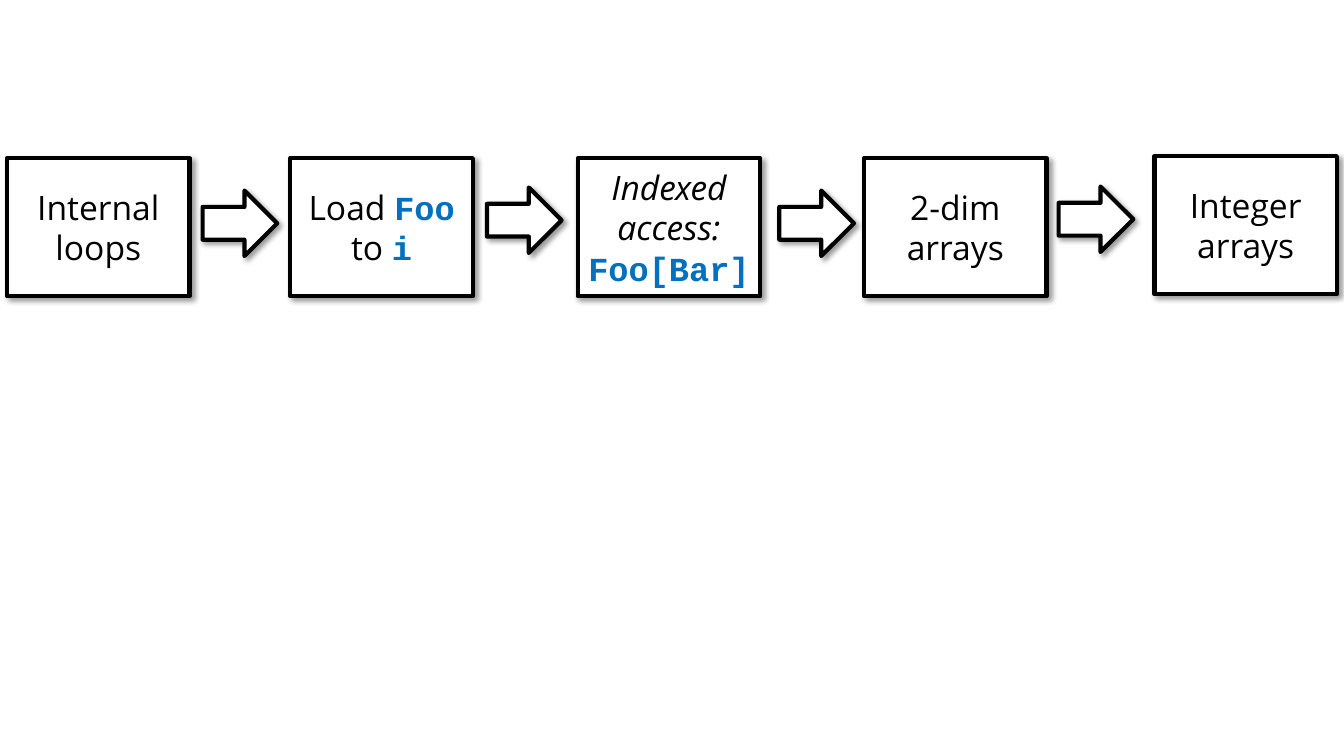
from lxml.etree import SubElement
from pptx import Presentation
from pptx.dml.color import RGBColor
from pptx.enum.shapes import MSO_SHAPE
from pptx.enum.text import MSO_ANCHOR, PP_ALIGN
from pptx.oxml.ns import qn
from pptx.util import Inches, Pt

BLACK = RGBColor(0x00, 0x00, 0x00)
WHITE = RGBColor(0xFF, 0xFF, 0xFF)
BLUE = RGBColor(0x00, 0x70, 0xC0)

PLAIN = {"name": "Open Sans", "size": Pt(24), "bold": False, "italic": False}
SLANT = {**PLAIN, "italic": True}
CODE = {**PLAIN, "name": "Courier New", "bold": True}

STEPS = [
    (0.07, 1.57, [[("Internal loops", PLAIN, BLACK)]]),
    (2.88, 1.57, [[("Load ", PLAIN, BLACK), ("Foo", CODE, BLUE),
                   (" to ", PLAIN, BLACK), ("i", CODE, BLUE)]]),
    (5.73, 1.57, [[("Indexed access:", SLANT, BLACK)],
                  [("Foo[Bar]", CODE, BLUE)]]),
    (8.57, 1.57, [[("2-dim arrays", PLAIN, BLACK)]]),
    (11.45, 1.55, [[("Integer arrays", PLAIN, BLACK)]]),
]
ARROWS = [(2.01, 1.89), (4.83, 1.86), (7.73, 1.89), (10.5, 1.85)]


class Flow:
    """Draws the steps and arrows of a flow on one slide."""

    def __init__(self, slide):
        self.slide = slide
        self.line = Pt(3)
        self.box = (1.81, 1.37)
        self.head = (0.74, 0.65)

    def shape(self, kind, left, top, size):
        item = self.slide.shapes.add_shape(
            kind, *(Inches(n) for n in (left, top, *size)))
        item.fill.solid()
        item.fill.fore_color.rgb = WHITE
        item.line.color.rgb = BLACK
        item.line.width = self.line
        self.shade(item)
        return item

    def shade(self, item):
        item.shadow.inherit = False
        effect = item.element.spPr.find(qn("a:effectLst"))
        outer = SubElement(effect, qn("a:outerShdw"), {
            "blurRad": str(Pt(4)), "dist": str(Pt(3)), "dir": "2700000",
            "algn": "tl", "rotWithShape": "0"})
        color = SubElement(outer, qn("a:srgbClr"), val=str(BLACK))
        SubElement(color, qn("a:alpha"), val="40000")

    def step(self, left, top, lines):
        frame = self.shape(MSO_SHAPE.RECTANGLE, left, top, self.box).text_frame
        frame.word_wrap = True
        frame.vertical_anchor = MSO_ANCHOR.MIDDLE
        para = frame.paragraphs[0]
        para.alignment = PP_ALIGN.CENTER
        for row, parts in enumerate(lines):
            if row:
                para.add_line_break()
            for text, style, color in parts:
                run = para.add_run()
                run.text = text
                run.font.color.rgb = color
                for key, value in style.items():
                    setattr(run.font, key, value)

    def arrow(self, left, top):
        self.shape(MSO_SHAPE.RIGHT_ARROW, left, top, self.head)


def main():
    deck = Presentation()
    deck.slide_width = Inches(13.33)
    deck.slide_height = Inches(7.5)
    flow = Flow(deck.slides.add_slide(deck.slide_layouts[6]))
    for step in STEPS:
        flow.step(*step)
    for spot in ARROWS:
        flow.arrow(*spot)
    deck.save("out.pptx")


if __name__ == "__main__":
    main()
